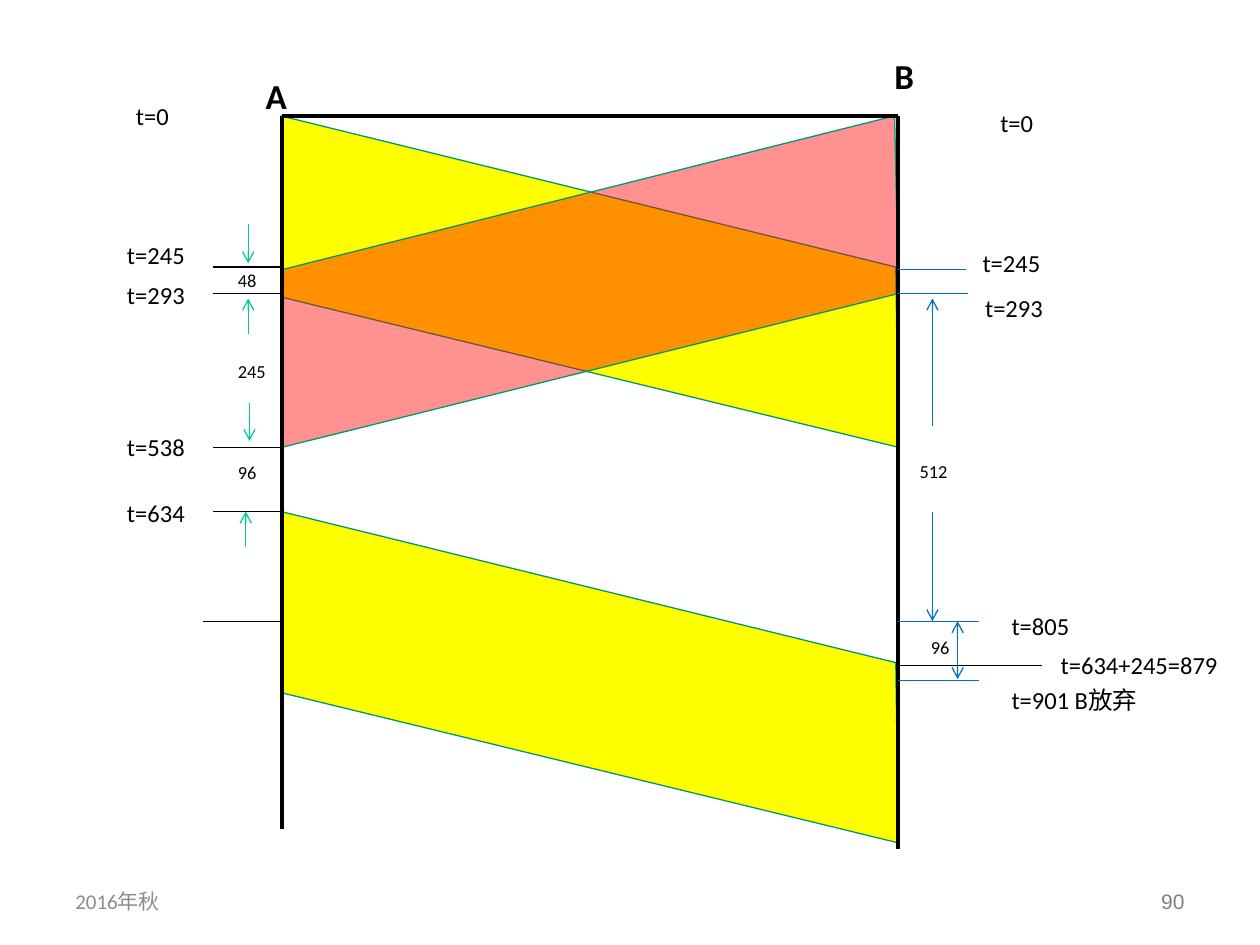
from lxml.etree import SubElement
from pptx import Presentation
from pptx.dml.color import RGBColor
from pptx.enum.text import MSO_ANCHOR, MSO_AUTO_SIZE, PP_ALIGN
from pptx.enum.shapes import MSO_CONNECTOR
from pptx.oxml.ns import qn
from pptx.util import Pt

PX = 9144
COLORS = {
    "black": "000000", "blue": "0070C0", "green": "00C896", "edge": "009771",
    "yellow": "FFFF00", "red": "FF0000", "date": "8C8C8C", "number": "808080",
}


class TimingDiagram:
    """Draws bands, lines and labels on one slide in a shared style."""

    def __init__(self, slide):
        self.slide = slide

    def color(self, name):
        return RGBColor.from_string(COLORS[name])

    def band(self, points, fill, opacity=100):
        builder = self.slide.shapes.build_freeform(*points[0], scale=PX)
        builder.add_line_segments(points[1:], close=True)
        shape = builder.convert_to_shape()
        shape.shadow.inherit = False
        shape.fill.solid()
        shape.fill.fore_color.rgb = self.color(fill)
        shape.line.color.rgb = self.color("edge")
        shape.line.width = Pt(0.75)
        if opacity < 100:
            color_element = shape.fill._xPr.find(qn("a:solidFill"))[0]
            SubElement(color_element, qn("a:alpha"), val=str(opacity * 1000))

    def line(self, start, end, color="black", width=0.75, arrows=()):
        ends = [value * PX for value in (*start, *end)]
        connector = self.slide.shapes.add_connector(MSO_CONNECTOR.STRAIGHT, *ends)
        connector.line.color.rgb = self.color(color)
        connector.line.width = Pt(width)
        for arrow in arrows:
            SubElement(connector.line._get_or_add_ln(), qn(f"a:{arrow}"), type="arrow")
        SubElement(connector._element.spPr, qn("a:effectLst"))

    def text(self, words, left, top, width, height, size=14, color="black", bold=False,
             font="Calibri", align=PP_ALIGN.LEFT, footer=False):
        box = self.slide.shapes.add_textbox(*(value * PX for value in (left, top, width, height)))
        frame = box.text_frame
        frame.word_wrap = footer
        frame.auto_size = MSO_AUTO_SIZE.NONE if footer else MSO_AUTO_SIZE.SHAPE_TO_FIT_TEXT
        frame.vertical_anchor = MSO_ANCHOR.MIDDLE if footer else MSO_ANCHOR.TOP
        paragraph = frame.paragraphs[0]
        paragraph.alignment = align
        run = paragraph.add_run()
        run.text = words
        run.font.name = font
        run.font.size = Pt(size)
        run.font.bold = bold
        run.font.color.rgb = self.color(color)


def main():
    presentation = Presentation()
    presentation.slide_width = 1000 * PX
    presentation.slide_height = 750 * PX
    diagram = TimingDiagram(presentation.slides.add_slide(presentation.slide_layouts[6]))

    for top in (406, 92):
        diagram.band([(223, top), (224, top + 144), (713, top + 263), (711, top + 120)], "yellow")
    diagram.band([(710, 92), (224, 214), (224, 355), (713, 233)], "red", 43)

    diagram.text("2016年秋", 50, 695, 233, 40, 12, "date", footer=True)
    diagram.text("90", 717, 695, 233, 40, 12, "number", font="Arial",
                 align=PP_ALIGN.RIGHT, footer=True)

    station_a, station_b, start = 224, 713, 92
    diagram.line((station_a, start), (station_b, start), width=2.25)
    diagram.line((station_a, start), (station_a, 658), width=2.25)
    diagram.line((station_b, start), (station_b, 674), width=2.25)

    for left, y in ((169, 212), (169, 233), (169, 355), (169, 406), (161, 493)):
        diagram.line((left, y), (station_a, y))
    for right, y in ((767, 214), (768, 233), (777, 493), (777, 540)):
        diagram.line((station_b, y), (right, y), "blue")
    diagram.line((station_b, 528), (827, 528))

    for x, tail, tip in ((197, 178, 209), (197, 265, 237), (198, 320, 350), (195, 434, 406)):
        diagram.line((x, tail), (x, tip), "green", arrows=["tailEnd"])
    for tail, tip in ((338, 237), (406, 493)):
        diagram.line((740, tail), (740, tip), "blue", arrows=["tailEnd"])
    diagram.line((760, 539), (760, 493), "blue", arrows=["headEnd", "tailEnd"])

    for words, left, top, width in (
        ("t=0", 98, 75, 48), ("t=245", 91, 186, 70), ("t=293", 91, 217, 70),
        ("t=538", 91, 338, 70), ("t=634", 91, 390, 70),
        ("t=0", 784, 81, 48), ("t=245", 770, 192, 70), ("t=293", 772, 228, 70),
        ("t=805", 793, 480, 70), ("t=634+245=879", 832, 511, 158),
        ("t=901 B放弃", 793, 539, 133),
    ):
        diagram.text(words, left, top, width, 34)
    for words, left, top, width in (
        ("48", 179, 209, 37), ("245", 179, 281, 45), ("96", 179, 361, 37),
        ("512", 720, 360, 45), ("96", 729, 500, 37),
    ):
        diagram.text(words, left, top, width, 28, 10.5)
    for station, left, top in (("A", 201, 54), ("B", 700, 38)):
        diagram.text(station, left, top, 41, 44, 20, bold=True)

    presentation.save("out.pptx")


if __name__ == "__main__":
    main()
